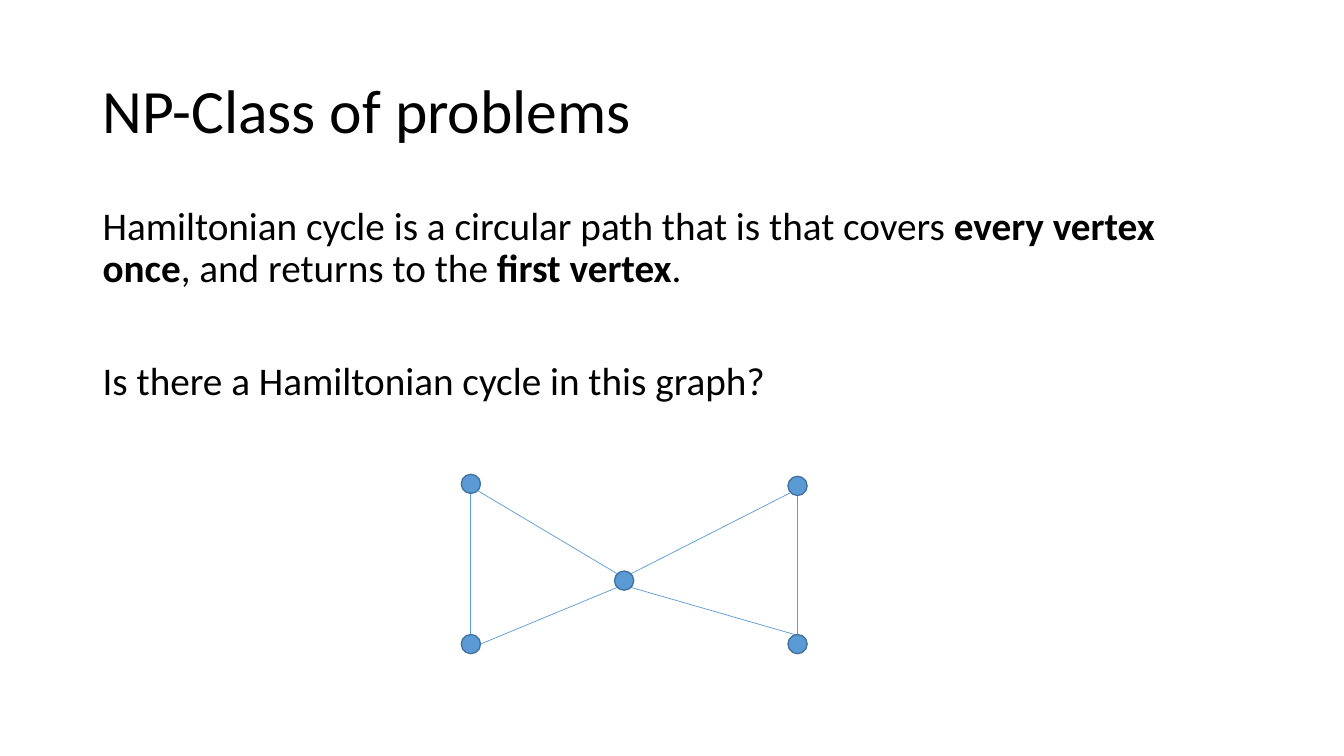
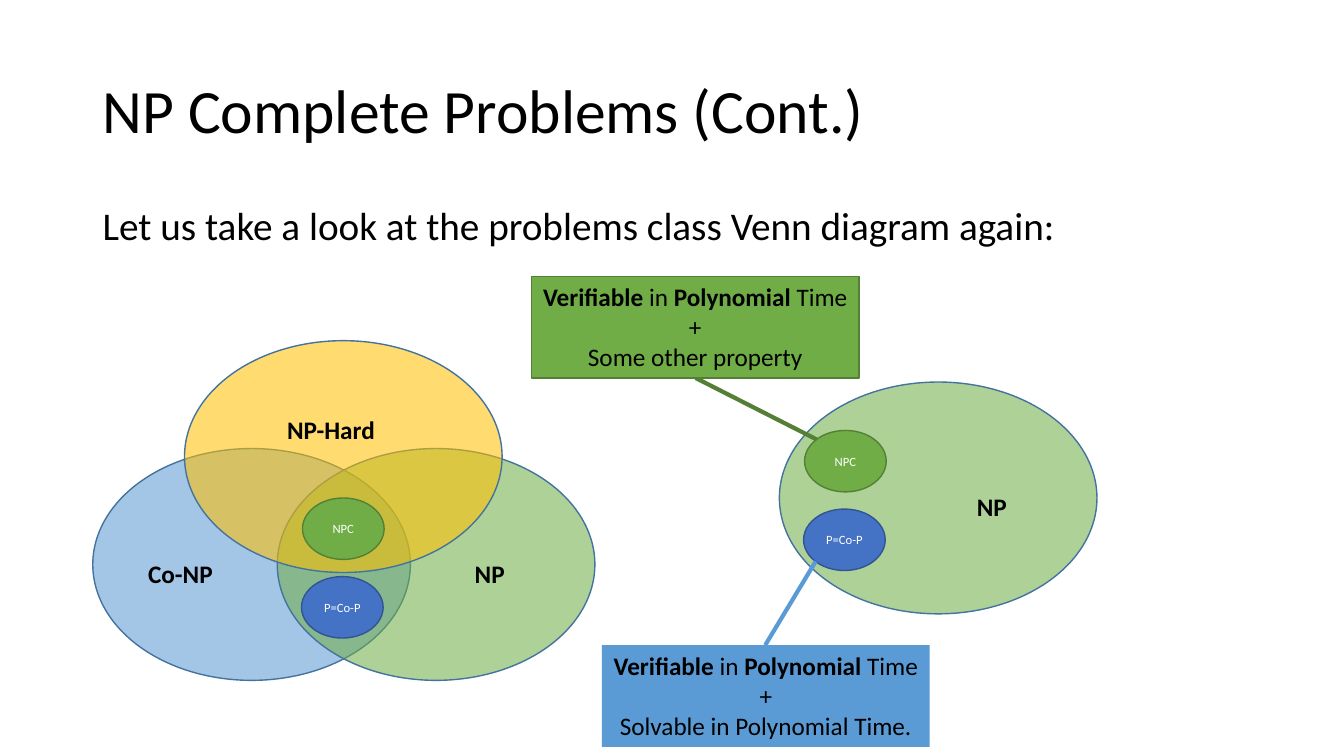
from math import cos, radians, sin

from lxml.etree import SubElement
from pptx import Presentation
from pptx.dml.color import RGBColor
from pptx.enum.shapes import MSO_CONNECTOR, MSO_SHAPE
from pptx.enum.text import MSO_ANCHOR, PP_ALIGN
from pptx.oxml.ns import qn
from pptx.util import Inches, Pt

# Shared style
FONT = "Calibri"
BLACK = RGBColor(0x00, 0x00, 0x00)
WHITE = RGBColor(0xFF, 0xFF, 0xFF)
BLUE = RGBColor(0x5B, 0x9B, 0xD5)
BLUE_EDGE = RGBColor(0x43, 0x73, 0x9E)
GREEN = RGBColor(0x70, 0xAD, 0x47)
GREEN_EDGE = RGBColor(0x53, 0x80, 0x35)
GOLD = RGBColor(0xFF, 0xC0, 0x00)
INDIGO = RGBColor(0x44, 0x72, 0xC4)
INDIGO_EDGE = RGBColor(0x32, 0x54, 0x91)

MARGIN, CONTENT_WIDTH = 0.92, 11.5
CLASS_SIZE = (3.15, 2.3)
SUBCLASS_SIZE = (0.81, 0.61)
CALLOUT_SIZE = (3.25, 1.01)
VERTEX_SIZE = 0.19


def write(frame, lines, size, color=BLACK, bold=False, align=PP_ALIGN.LEFT,
          anchor=MSO_ANCHOR.TOP, spacing=1.0, gap=0):
    """Write one paragraph per line; ** switches bold on and off."""
    frame.vertical_anchor = anchor
    for number, line in enumerate(lines):
        paragraph = frame.add_paragraph() if number else frame.paragraphs[0]
        paragraph.alignment = align
        paragraph.line_spacing = spacing
        paragraph.space_before = Pt(gap if number else 0)
        for part, words in enumerate(line.split("**")):
            if words:
                run = paragraph.add_run()
                run.text = words
                run.font.name = FONT
                run.font.size = Pt(size)
                run.font.bold = bold or part % 2 == 1
                run.font.color.rgb = color


def add_text(slide, left, top, width, height, lines, size, **style):
    frame = slide.shapes.add_textbox(
        Inches(left), Inches(top), Inches(width), Inches(height)).text_frame
    frame.word_wrap = True
    write(frame, lines, size, **style)


def add_figure(slide, kind, left, top, size, fill, edge=None, opacity=None):
    figure = slide.shapes.add_shape(
        kind, Inches(left), Inches(top), Inches(size[0]), Inches(size[1]))
    figure.shadow.inherit = False
    figure.fill.solid()
    figure.fill.fore_color.rgb = fill
    if edge is None:
        figure.line.fill.background()
    else:
        figure.line.color.rgb = edge
        figure.line.width = Pt(1)
    if opacity is not None:
        color = figure.element.spPr.find(qn("a:solidFill"))[0]
        SubElement(color, qn("a:alpha"), val=str(opacity * 1000))
    return figure


def add_line(slide, start, end, color, width):
    line = slide.shapes.add_connector(
        MSO_CONNECTOR.STRAIGHT, *(Inches(value) for value in (*start, *end)))
    line.line.color.rgb = color
    line.line.width = Pt(width)
    SubElement(line.element.spPr, qn("a:effectLst"))


def add_slide(deck, title, body):
    slide = deck.slides.add_slide(deck.slide_layouts[6])
    add_text(slide, MARGIN, 0.4, CONTENT_WIDTH, 1.45, [title], 44,
             anchor=MSO_ANCHOR.MIDDLE, spacing=0.9)
    add_text(slide, MARGIN, 2, CONTENT_WIDTH, 4.76, body, 28,
             spacing=0.9, gap=50)
    return slide


def add_graph(slide, vertices, edges):
    """Draw edges between points on the vertex rims, given by angle."""
    radius = VERTEX_SIZE / 2

    def rim(name, angle):
        x, y = vertices[name]
        return (x + radius * cos(radians(angle)),
                y - radius * sin(radians(angle)))

    for start, start_angle, end, end_angle in edges:
        add_line(slide, rim(start, start_angle), rim(end, end_angle), BLUE, 0.5)
    for x, y in vertices.values():
        add_figure(slide, MSO_SHAPE.OVAL, x - radius, y - radius,
                   (VERTEX_SIZE, VERTEX_SIZE), BLUE, BLUE_EDGE)


def add_class(slide, left, top, fill):
    add_figure(slide, MSO_SHAPE.OVAL, left, top, CLASS_SIZE, fill,
               BLUE_EDGE, opacity=56)


def add_class_name(slide, left, top, width, name):
    add_text(slide, left, top, width, 0.39, [name], 18, bold=True)


def add_subclasses(slide, left, top):
    """Place the NPC oval with the P oval below it."""
    for name, x, y, fill, edge in (
            ("NPC", left, top, GREEN, GREEN_EDGE),
            ("P=Co-P", left - 0.01, top + 0.78, INDIGO, INDIGO_EDGE)):
        oval = add_figure(slide, MSO_SHAPE.OVAL, x, y, SUBCLASS_SIZE, fill, edge)
        oval.text_frame.word_wrap = True
        write(oval.text_frame, [name], 9, color=WHITE,
              align=PP_ALIGN.CENTER, anchor=MSO_ANCHOR.MIDDLE)


def add_callout(slide, left, top, condition, fill, edge=None):
    callout = add_figure(slide, MSO_SHAPE.RECTANGLE, left, top, CALLOUT_SIZE,
                         fill, edge)
    callout.text_frame.word_wrap = False
    write(callout.text_frame,
          ["**Verifiable** in **Polynomial** Time", "+", condition], 18,
          align=PP_ALIGN.CENTER)


def build_hamiltonian(deck):
    slide = add_slide(deck, "NP-Class of problems", [
        "Hamiltonian cycle is a circular path that is that covers "
        "**every vertex once**, and returns to the **first vertex**.",
        "Is there a Hamiltonian cycle in this graph?"])
    vertices = {
        "top left": (4.67, 4.8), "bottom left": (4.67, 6.39),
        "center": (6.19, 5.76),
        "top right": (7.91, 4.82), "bottom right": (7.91, 6.39)}
    add_graph(slide, vertices, [
        ("top left", -45, "center", 135),
        ("bottom left", 0, "center", 225),
        ("center", 45, "top right", 225),
        ("bottom right", 45, "center", -45),
        ("top left", -90, "bottom left", 90),
        ("top right", -90, "bottom right", 90)])


def build_venn(deck):
    slide = add_slide(deck, "NP Complete Problems (Cont.)", [
        "Let us take a look at the problems class Venn diagram again:"])

    # Three overlapping classes
    add_class(slide, 0.92, 4.45, BLUE)
    add_class(slide, 2.75, 4.45, GREEN)
    add_class(slide, 1.83, 3.38, GOLD)
    add_class_name(slide, 1.37, 5.49, 1.12, "Co-NP")
    add_class_name(slide, 4.61, 5.49, 0.66, "NP")
    add_class_name(slide, 2.75, 4.06, 1.43, "NP-Hard")
    add_subclasses(slide, 3, 4.94)

    # NP on its own
    add_class(slide, 7.73, 3.79, GREEN)
    add_class_name(slide, 9.59, 4.82, 0.66, "NP")
    add_subclasses(slide, 7.98, 4.27)

    # Callouts and their leader lines
    add_line(slide, (8.09, 5.57), (7.59, 6.4), BLUE, 3)
    add_callout(slide, 5.97, 6.4, "Solvable in Polynomial Time.", BLUE)
    add_line(slide, (8.1, 4.36), (6.9, 3.75), GREEN_EDGE, 3)
    add_callout(slide, 5.27, 2.74, "Some other property", GREEN, GREEN_EDGE)


def main():
    deck = Presentation()
    deck.slide_width = Inches(13.33)
    deck.slide_height = Inches(7.5)
    build_hamiltonian(deck)
    build_venn(deck)
    deck.save("out.pptx")


if __name__ == "__main__":
    main()
